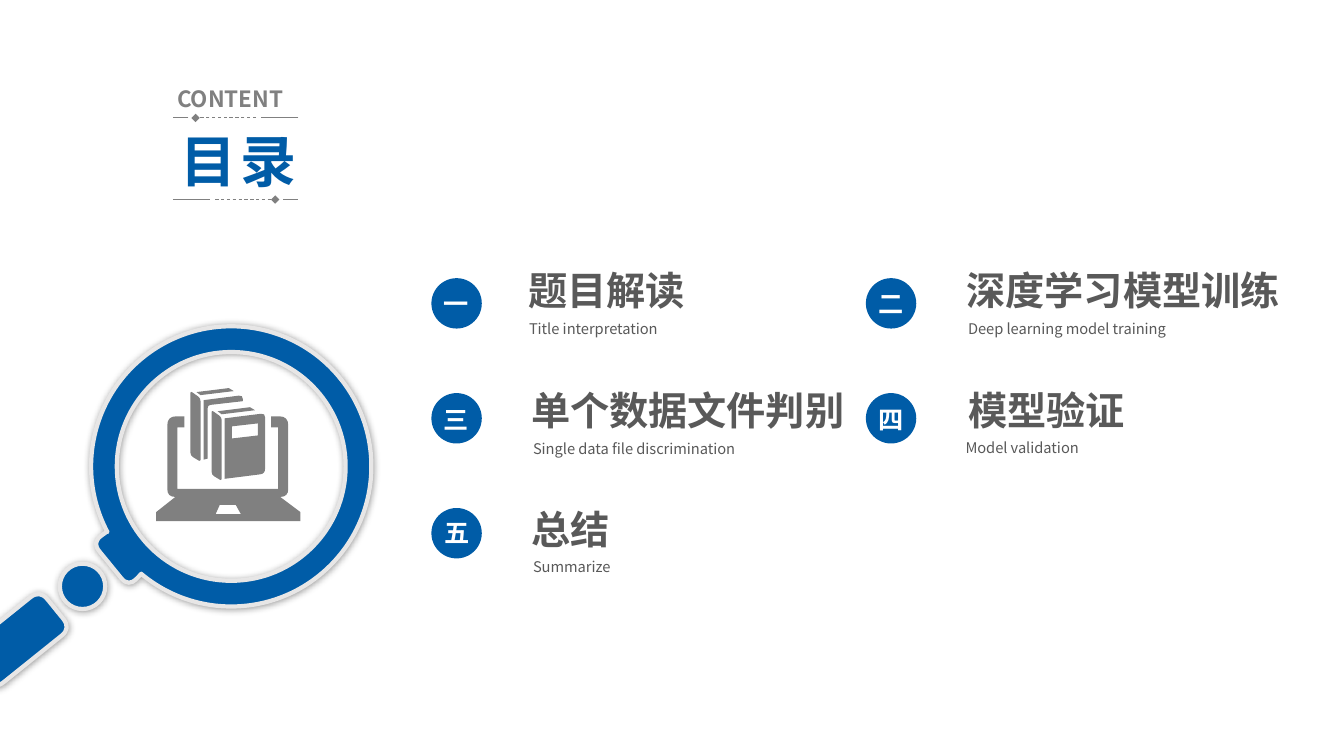
import math
import dataclasses
import typing

import pptx
import pptx.dml.color
import pptx.enum.dml
import pptx.enum.shapes
import pptx.enum.text
import pptx.oxml
import pptx.oxml.ns
import pptx.util

CELL = pptx.util.Inches(0.1)  # side of one grid cell: columns and rows alike
FACE = "Noto Sans CJK SC"
BLUE, GREY, DARK, PALE, WHITE = "005CA7", "808080", "595959", "E7E6E6", "FFFFFF"
ALIGN = pptx.enum.text.PP_ALIGN
NS = pptx.oxml.ns.nsdecls("a")
TILT = 6.1
PIVOT = (17.35, 50.85)

Point = tuple[float, float]
Step = tuple[Point, ...]  # one point for a line, three for a curve
Path = list[Step]


class Spot(typing.NamedTuple):
    """A corner in columns and rows, rounded off over the length cut."""
    x: float
    y: float
    cut: float = 0


@dataclasses.dataclass
class Topic:
    mark: str
    title: str
    gloss: str
    place: tuple[int, int]
    nudge: Point
    head: tuple[float, float, float]
    foot: tuple[float, float, float]


@dataclasses.dataclass
class Rule:
    start: float
    end: float
    row: float
    dashed: bool = False


TOPICS = [
    Topic("一", "题目解读", "Title interpretation", (0, 0), (0.25, 0.5),
          (51.45, 25.9, 17.6), (51.5, 31.2, 15)),
    Topic("二", "深度学习模型训练", "Deep learning model training", (1, 0), (0.25, 0.5),
          (94.9, 25.9, 33.2), (95.05, 31.2, 22.5)),
    Topic("三", "单个数据文件判别", "Single data file discrimination", (0, 1), (0.25, 0.6),
          (51.7, 37.8, 33.2), (51.9, 43.1, 22.6)),
    Topic("四", "模型验证", "Model validation", (1, 1), (0.25, 0.6),
          (95.1, 37.8, 17.6), (94.8, 43, 13.8)),
    Topic("五", "总结", "Summarize", (0, 2), (0.3, 0.4),
          (51.7, 49.6, 9.8), (51.9, 54.8, 9.7)),
]

RULES = [
    Rule(29.6, 25.9, 11.7), Rule(25.4, 19.4, 11.7, True), Rule(18.7, 17.15, 11.7),
    Rule(17.15, 20.8, 19.8), Rule(21.35, 27.3, 19.8, True), Rule(28.1, 29.6, 19.8),
]

HANDLE = [(4, 58.6, 1.2), (7.1, 62.4, 1.2), (-0.5, 68.5, 1.2), (-3.6, 64.7, 1.2)]
COLLAR = [(10.7, 52.8), (9.2, 53.9, 1.1), (12.8, 58.3, 1.1), (14.1, 57)]

PAGES = [(19.5, 38.9), (19.9, 39.2), (23.2, 38.8), (22.7, 38.5)]
SPINE = [(18.9, 38.8, 0.2), (19.9, 39.5, 0.3), (19.9, 45.8, 0.15), (18.9, 45.2, 0.3)]
BACK = [(20.2, 39.7), (24.1, 39.2, 0.4), (24.1, 39.8), (20.6, 40.2, 0.3),
        (20.6, 45.5), (20.2, 45.6)]
FRONT = [(22.3, 41.5), (26.3, 41, 0.4), (26.3, 47, 0.5), (22.3, 47.5)]
LABEL = [(23, 42.3), (25.6, 42), (25.6, 43.2), (23, 43.5)]
LAPTOP = [(17.6, 42.4), (18.3, 42.4), (18.3, 41.3), (16.6, 41.3, 0.9), (16.6, 49.3, 0.8),
          (17.4, 49.3), (15.5, 50.8), (15.5, 51.7), (29.8, 51.7), (29.8, 50.8),
          (27.8, 49.3), (28.6, 49.3, 0.8), (28.6, 41.3, 0.9), (26.9, 41.3),
          (26.9, 42.4), (27.6, 42.4), (27.6, 48.5), (17.6, 48.5)]
TOUCHPAD = [(21.8, 50.1), (23.4, 50.1), (23.9, 51), (21.4, 51)]


def paint(hue: str) -> pptx.dml.color.RGBColor:
    return pptx.dml.color.RGBColor.from_string(hue)


def grid(*counts: float) -> list[int]:
    """Turn columns and rows into lengths."""
    return [round(count * CELL) for count in counts]


def blend(a: Point, b: Point, share: float) -> Point:
    return a[0] + (b[0] - a[0]) * share, a[1] + (b[1] - a[1]) * share


def arc(x: float, y: float, radius: float, start: float = 0, end: float = 360) -> Path:
    """Trace a circle's arc with four curves."""
    turn = math.radians(end - start) / 4
    pull = 4 / 3 * math.tan(turn / 4)

    def spot(angle: float, bend: float = 0) -> Point:
        c, s = math.cos(angle), math.sin(angle)
        return x + radius * (c - bend * s), y + radius * (s + bend * c)

    angles = [math.radians(start) + turn * i for i in range(5)]
    return [(spot(angles[0]),)] + [(spot(a, pull), spot(b, -pull), spot(b))
                                   for a, b in zip(angles, angles[1:])]


def soften(corners: list[tuple], right: float = 0, down: float = 0) -> Path:
    """Shift an outline and round each corner that has a cut."""
    spots = [Spot(c[0] + right, c[1] + down, *c[2:]) for c in corners]
    path = []
    for i, spot in enumerate(spots):
        peak = spot[:2]
        if not spot.cut:
            path.append((peak,))
            continue
        a, b = [blend(peak, near[:2], spot.cut / math.dist(peak, near[:2]))
                for near in (spots[i - 1], spots[(i + 1) % len(spots)])]
        path += [(a,), (blend(a, peak, 2 / 3), blend(b, peak, 2 / 3), b)]
    return path


def spin(path: Path, angle: float) -> Path:
    c, s = math.cos(math.radians(angle)), math.sin(math.radians(angle))
    px, py = PIVOT
    return [tuple((px + (x - px) * c - (y - py) * s, py + (x - px) * s + (y - py) * c)
                  for x, y in step) for step in path]


def outline(shapes, paths: list[Path], hue: str):
    """Draw all paths as one shape; a path inside another is a hole."""
    maker = None
    for path in paths:
        first, *rest = [tuple(grid(*point)) for step in path for point in step]
        if maker is None:
            maker = shapes.build_freeform(*first)
        else:
            maker.move_to(*first)
        maker.add_line_segments(rest)
    shape = maker.convert_to_shape()
    lines = iter(list(shape._element.spPr.iter(pptx.oxml.ns.qn("a:lnTo"))))
    for step in (step for path in paths for step in path[1:]):
        line = next(lines)
        if len(step) == 3:
            line.tag = pptx.oxml.ns.qn("a:cubicBezTo")
            for spare in (next(lines), next(lines)):
                line.append(spare[0])
                spare.getparent().remove(spare)
    fill(shape, hue)
    return shape


def fill(shape, hue: str) -> None:
    shape.shadow.inherit = False
    shape.fill.solid()
    shape.fill.fore_color.rgb = paint(hue)
    shape.line.fill.background()


def write(shapes, text: str, box: tuple, size: float, hue: str, bold: bool = True,
          wrap: bool = True, align=ALIGN.LEFT, gap: int = 0) -> None:
    frame = shapes.add_textbox(*grid(*box)).text_frame
    looks = {"word_wrap": wrap, "auto_size": pptx.enum.text.MSO_AUTO_SIZE.SHAPE_TO_FIT_TEXT}
    for name, value in looks.items():
        setattr(frame, name, value)
    line = frame.paragraphs[0]
    line.alignment = align
    run = line.add_run()
    run.text = text
    for name, value in {"size": pptx.util.Pt(size), "bold": bold, "name": FACE}.items():
        setattr(run.font, name, value)
    run.font.color.rgb = paint(hue)
    props = run._r.get_or_add_rPr()
    props.append(pptx.oxml.parse_xml(f'<a:ea {NS} typeface="{FACE}"/>'))
    if gap:
        props.set("spc", str(gap * 100))


def stroke(shapes, rule: Rule) -> None:
    link = shapes.add_connector(pptx.enum.shapes.MSO_CONNECTOR.STRAIGHT,
                                *grid(rule.start, rule.row, rule.end, rule.row))
    link.line.color.rgb = paint(GREY)
    link.line.width = pptx.util.Pt(0.6)
    if rule.dashed:
        link.line.dash_style = pptx.enum.dml.MSO_LINE.DASH
        link.line._get_or_add_ln().append(
            pptx.oxml.parse_xml(f'<a:tailEnd {NS} type="diamond"/>'))
    link._element.spPr.append(pptx.oxml.parse_xml(f"<a:effectLst {NS}/>"))


def entry(shapes, topic: Topic) -> None:
    """Draw one numbered topic with its title and gloss."""
    left, top = 42.8 + 43.1 * topic.place[0], 27.6 + 11.4 * topic.place[1]
    disc = shapes.add_shape(pptx.enum.shapes.MSO_SHAPE.OVAL, *grid(left, top, 5, 5))
    fill(disc, BLUE)
    spot = (left + topic.nudge[0], top + topic.nudge[1], 4.3, 4)
    write(shapes, topic.mark, spot, 18, WHITE, align=ALIGN.JUSTIFY)
    write(shapes, topic.title, (*topic.head, 5.7), 28, DARK, wrap=False)
    write(shapes, topic.gloss, (*topic.foot, 2.8), 10.5, DARK, bold=False, wrap=False)


def lens(shapes) -> None:
    x, y = 23, 46.35
    rim = arc(x, y, 13.9, 130, -208) + soften(COLLAR)
    paths = [soften(HANDLE), rim, arc(x, y, 11.35), arc(8.25, 58.25, 2.25)]
    glass = outline(shapes, [spin(path, -TILT) for path in paths], BLUE)
    glass.rotation = TILT
    glass.line.color.rgb = paint(PALE)
    glass.line.width = pptx.util.Pt(3)
    glow = pptx.oxml.parse_xml(
        f'<a:outerShdw {NS} blurRad="{pptx.util.Pt(5)}" dist="0" dir="0" algn="ctr" '
        'rotWithShape="0"><a:srgbClr val="000000"><a:alpha val="40000"/></a:srgbClr>'
        '</a:outerShdw>')
    glass._element.spPr.find(pptx.oxml.ns.qn("a:effectLst")).append(glow)


def books(shapes) -> None:
    paths = [soften(part) for part in (LAPTOP, TOUCHPAD, BACK, FRONT, LABEL)]
    for right, down in ((0, 0), (2.1, 1.9)):
        paths += [soften(part, right, down) for part in (PAGES, SPINE)]
    outline(shapes, paths, GREY)


def main() -> None:
    deck = pptx.Presentation()
    deck.slide_width, deck.slide_height = grid(133.33, 75)
    shapes = deck.slides.add_slide(deck.slide_layouts[6]).shapes
    for rule in RULES:
        stroke(shapes, rule)
    write(shapes, "目录", (14.55, 12.05, 18.3, 7.7), 40, BLUE, align=ALIGN.CENTER, gap=3)
    write(shapes, "CONTENT", (16.6, 8, 13.6, 3.7), 16, GREY, align=ALIGN.JUSTIFY)
    for topic in TOPICS:
        entry(shapes, topic)
    lens(shapes)
    books(shapes)
    deck.save("out.pptx")


if __name__ == "__main__":
    main()
